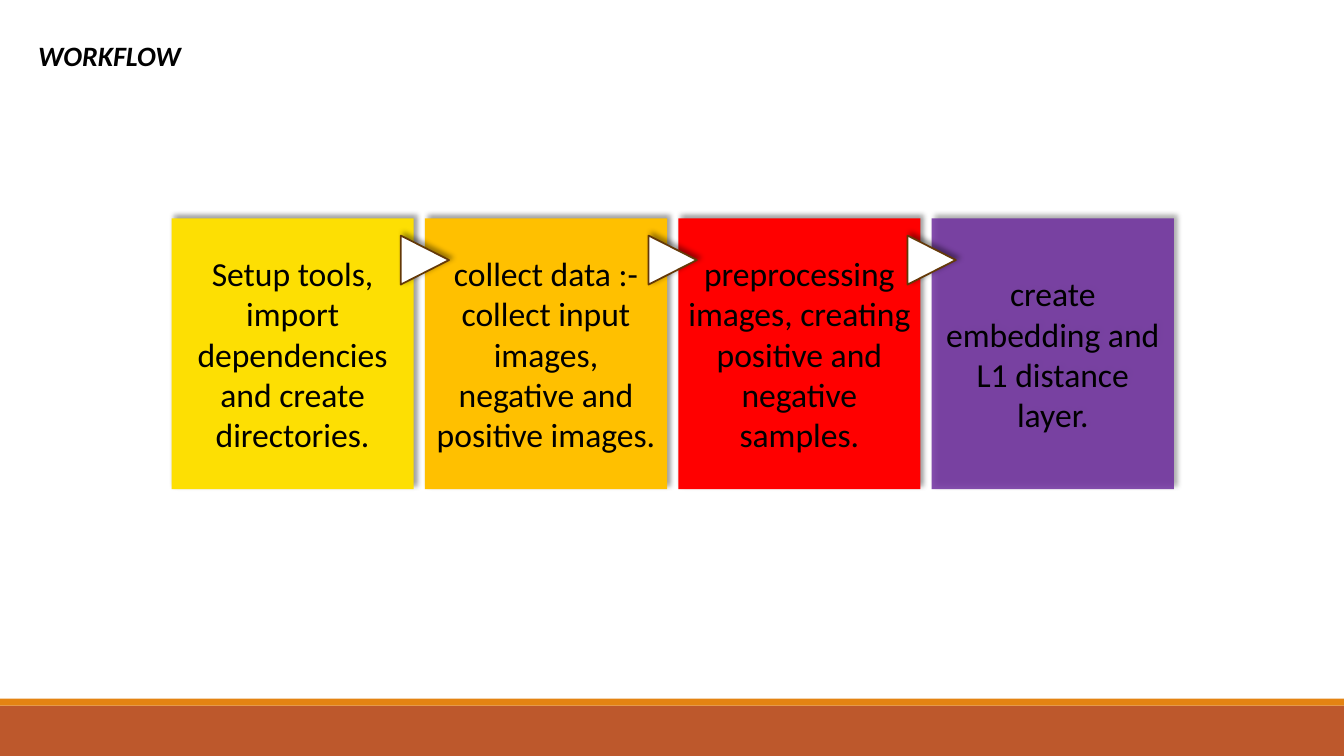
import pptx
import pptx.util
import pptx.dml.color
import pptx.enum.shapes
import pptx.enum.text
import pptx.oxml.ns
from lxml import etree

Pt = pptx.util.Pt
RGB = pptx.dml.color.RGBColor.from_string
KIND = pptx.enum.shapes.MSO_SHAPE
ALIGN = pptx.enum.text.PP_ALIGN
MIDDLE = pptx.enum.text.MSO_ANCHOR.MIDDLE
qn = pptx.oxml.ns.qn

HUES = {
    "black": "000000", "white": "FFFFFF", "brown": "643908",
    "rust": "BD582C", "orange": "E48312", "yellow": "FDDF03",
    "amber": "FFC000", "red": "FF0000", "purple": "7030A0",
}


def block(kind, box, hue, shade=True):
    """Add a filled shape without an outline, with a soft shadow if asked."""
    shape = slide.shapes.add_shape(kind, *[Pt(n) for n in box])
    shape.fill.solid()
    shape.fill.fore_color.rgb = RGB(HUES[hue])
    shape.line.fill.background()
    shape.shadow.inherit = False
    if shade:
        effects = shape._element.spPr.find(qn("a:effectLst"))
        outer = etree.SubElement(
            effects, qn("a:outerShdw"), blurRad=str(Pt(4)), dist=str(Pt(3)),
            dir=str(315 * 60000), algn="bl", rotWithShape="0")
        color = etree.SubElement(outer, qn("a:srgbClr"), val=HUES["black"])
        etree.SubElement(color, qn("a:alpha"), val="40000")
    return shape


def write(shape, text, align, style):
    """Put one styled paragraph in a shape."""
    frame = shape.text_frame
    frame.word_wrap = True
    frame.vertical_anchor = MIDDLE
    para = frame.paragraphs[0]
    para.text = text
    para.alignment = align
    para.font.color.rgb = RGB(HUES["black"])
    for name, value in style.items():
        setattr(para.font, name, value)


deck = pptx.Presentation()
deck.slide_width, deck.slide_height = Pt(960), Pt(540)
slide = deck.slides.add_slide(deck.slide_layouts[5])

# Footer bands
block(KIND.RECTANGLE, (0, 504, 960, 36), "rust", False)
block(KIND.RECTANGLE, (0, 499, 960, 5), "orange", False)

# Title
title = slide.shapes.title
place = {"left": 20, "top": 24, "width": 243, "height": 31.5}
for name, value in place.items():
    setattr(title, name, Pt(value))
write(title, "WORKFLOW", ALIGN.LEFT,
      {"name": "Calibri", "size": Pt(20), "bold": True, "italic": True})

# Steps
steps = [
    ("yellow", "Setup tools, import dependencies and create directories."),
    ("amber", "collect data :- collect input images, negative and positive images."),
    ("red", "preprocessing images, creating positive and negative samples."),
    ("purple", "create embedding and L1 distance layer."),
]
for i, (hue, text) in enumerate(steps):
    step = block(KIND.RECTANGLE, (122.5 + 181 * i, 156, 173, 193.5), hue)
    write(step, text, ALIGN.CENTER, {"name": "Calibri", "size": Pt(24)})

# The last step is slightly see-through
tint = step._element.spPr.find(qn("a:solidFill"))[0]
etree.SubElement(tint, qn("a:alpha"), val="85000")

# Arrowheads between the steps
for left in (286, 463, 648):
    arrow = block(KIND.ISOSCELES_TRIANGLE, (left, 168.5, 35, 34.5), "white")
    arrow.rotation = 90
    arrow.line.color.rgb = RGB(HUES["brown"])
    arrow.line.width = Pt(1.25)

deck.save("out.pptx")
